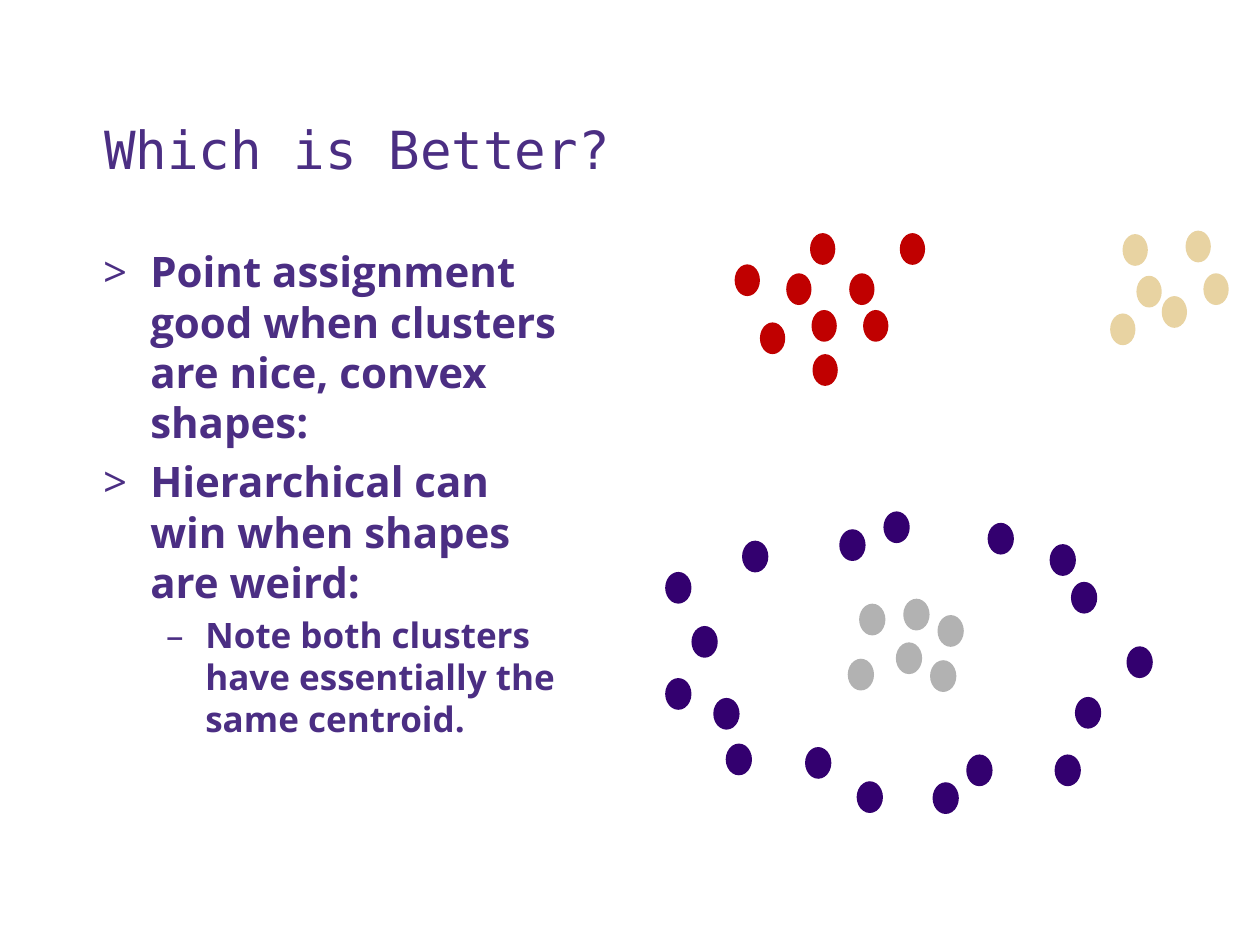
from dataclasses import dataclass

from lxml import etree
from pptx import Presentation
from pptx.dml.color import RGBColor
from pptx.enum.shapes import MSO_SHAPE
from pptx.enum.text import MSO_ANCHOR
from pptx.oxml.ns import qn
from pptx.shapes.group import GroupShape
from pptx.slide import Slide
from pptx.text.text import TextFrame
from pptx.util import Cm, Pt

OVAL = MSO_SHAPE.OVAL
TOP = MSO_ANCHOR.TOP
BOTTOM = MSO_ANCHOR.BOTTOM

PURPLE = RGBColor(0x4B, 0x2E, 0x83)
RED = RGBColor(0xC0, 0x00, 0x00)
TAN = RGBColor(0xE8, 0xD3, 0xA2)
NAVY = RGBColor(0x33, 0x00, 0x6F)
GREY = RGBColor(0xB2, 0xB2, 0xB2)

BODY_FONT = "Open Sans"
SPACE_RATIO = 0.2
POINT_HEIGHT = 0.64


@dataclass(frozen=True)
class Style:
    font: dict
    line_spacing: float = 1.0
    bullet: str = ""
    margin: float = 0
    hanging: float = 0


@dataclass(frozen=True)
class Cluster:
    color: RGBColor
    point_width: float
    corners: tuple


HEADING = Style({"name": "DejaVu Sans Mono", "size": Pt(30), "bold": False}, 0.9)
CLAIM = Style({"name": BODY_FONT, "size": Pt(24), "bold": True}, 1.0, ">", 0.95, 0.95)
NOTE = Style({"name": BODY_FONT, "size": Pt(20), "bold": True}, 1.0, "–", 2.06, 0.79)

STATEMENTS = (
    ("Point assignment good when clusters are nice, convex shapes:", CLAIM),
    ("Hierarchical can win when shapes are weird:", CLAIM),
    ("Note both clusters have essentially the same centroid.", NOTE),
)

CONVEX_CLUSTERS = (
    Cluster(RED, 0.51, (
        (14.81, 5.33), (16.33, 4.7), (15.85, 5.51), (17.12, 5.51), (15.32, 6.5),
        (16.36, 6.25), (17.4, 6.25), (16.38, 7.14), (18.14, 4.7),
    )),
    Cluster(TAN, 0.51, (
        (22.91, 5.56), (23.42, 5.97), (24.26, 5.51),
        (22.63, 4.72), (22.38, 6.32), (23.9, 4.65),
    )),
)

NESTED_CLUSTERS = (
    Cluster(NAVY, 0.53, (
        (13.41, 11.53), (14.96, 10.9), (16.92, 10.67), (17.81, 10.31), (19.91, 10.54),
        (21.16, 10.97), (21.59, 11.73), (22.71, 13.03), (21.67, 14.05), (21.26, 15.21),
        (19.48, 15.21), (18.8, 15.77), (17.27, 15.75), (16.23, 15.06), (14.63, 14.99),
        (14.38, 14.07), (13.41, 13.67), (13.94, 12.62),
    )),
    Cluster(GREY, 0.53, (
        (18.21, 12.07), (18.06, 12.95), (18.9, 12.4),
        (17.32, 12.17), (17.09, 13.28), (18.75, 13.31),
    )),
)


def add_text_area(slide: Slide, box: tuple, anchor: MSO_ANCHOR, lines: tuple) -> None:
    frame = slide.shapes.add_textbox(*map(Cm, box)).text_frame
    frame.word_wrap = True
    frame.vertical_anchor = anchor
    for index, (wording, style) in enumerate(lines):
        write_line(frame, index, wording, style)


def write_line(frame: TextFrame, index: int, wording: str, style: Style) -> None:
    line = frame.add_paragraph() if index else frame.paragraphs[0]
    spacing = {
        "line_spacing": style.line_spacing,
        "space_before": int(style.font["size"] * SPACE_RATIO),
    }
    for attribute, value in spacing.items():
        setattr(line, attribute, value)
    run = line.add_run()
    run.text = wording
    for attribute, value in style.font.items():
        setattr(run.font, attribute, value)
    run.font.color.rgb = PURPLE
    if style.bullet:
        properties = line._p.get_or_add_pPr()
        properties.set("marL", str(Cm(style.margin)))
        properties.set("indent", str(-Cm(style.hanging)))
        etree.SubElement(properties, qn("a:buFont"), typeface=BODY_FONT)
        etree.SubElement(properties, qn("a:buChar"), char=style.bullet)


def draw_cluster(diagram: GroupShape, cluster: Cluster) -> None:
    for left, top in cluster.corners:
        bounds = (left, top, cluster.point_width, POINT_HEIGHT)
        point = diagram.shapes.add_shape(OVAL, *map(Cm, bounds))
        point.shadow.inherit = False
        point.fill.solid()
        point.fill.fore_color.rgb = cluster.color
        point.line.fill.background()


def main() -> None:
    deck = Presentation()
    deck.slide_width, deck.slide_height = Cm(25.4), Cm(19.05)
    slide = deck.slides.add_slide(deck.slide_layouts[6])
    title = (("Which is Better?", HEADING),)
    add_text_area(slide, (1.85, 1.04, 22.73, 2.74), BOTTOM, title)
    add_text_area(slide, (1.83, 4.83, 9.8, 11.15), TOP, STATEMENTS)
    for clusters in (CONVEX_CLUSTERS, NESTED_CLUSTERS):
        diagram = slide.shapes.add_group_shape()
        for cluster in clusters:
            draw_cluster(diagram, cluster)
    deck.save("out.pptx")


if __name__ == "__main__":
    main()
